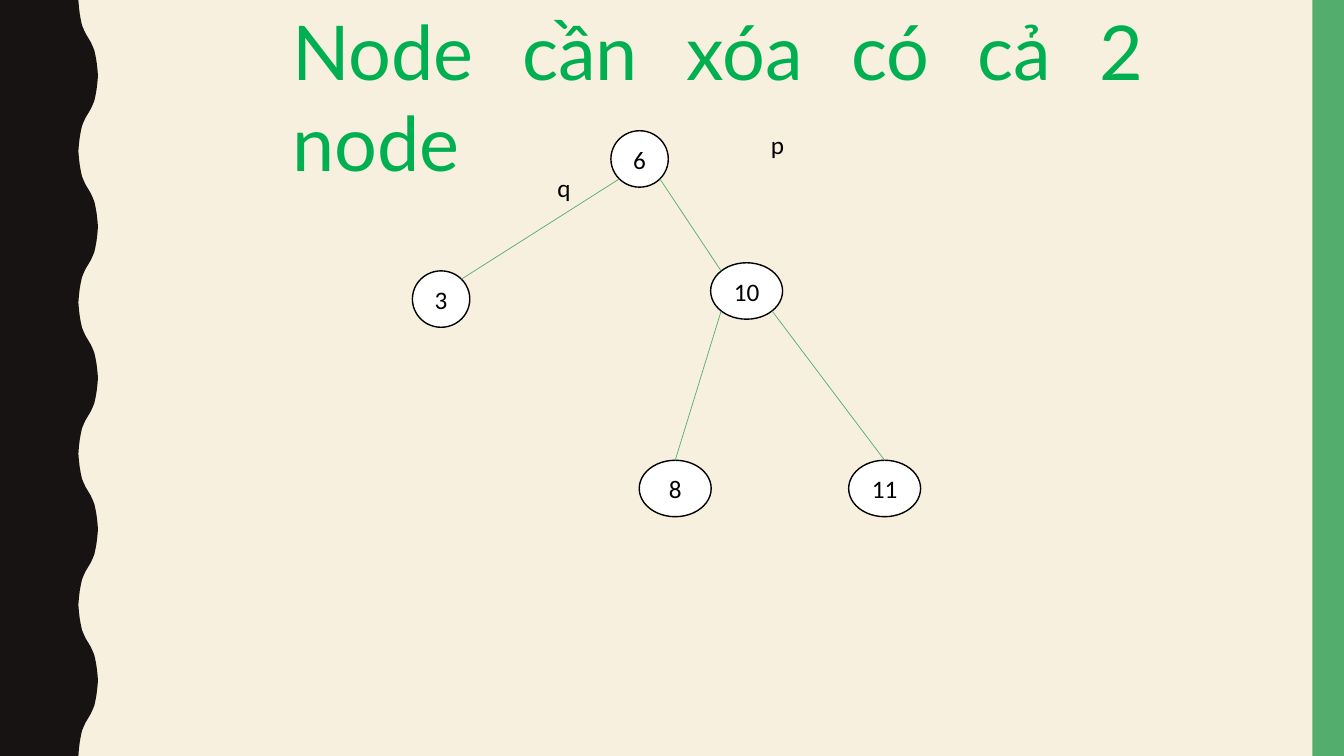
import math

import pptx
import pptx.util
import pptx.dml.color
import pptx.enum.shapes
import pptx.enum.text
import pptx.oxml

Pt = pptx.util.Pt
RGBColor = pptx.dml.color.RGBColor
SHAPE = pptx.enum.shapes.MSO_SHAPE
ALIGN = pptx.enum.text.PP_ALIGN
ANCHOR = pptx.enum.text.MSO_ANCHOR

CREAM = RGBColor(0xF7, 0xF0, 0xDF)
DARK = RGBColor(0x17, 0x13, 0x12)
GREEN = RGBColor(0x53, 0xAE, 0x6E)
TITLE_GREEN = RGBColor(0x00, 0xB0, 0x50)
BLACK = RGBColor(0, 0, 0)
WHITE = RGBColor(0xFF, 0xFF, 0xFF)

TITLE = {"name": "Lato", "size": Pt(54)}
BODY = {"name": "Calibri", "size": Pt(18)}


def write(s, text, font, color, align, wrap):
    tf = s.text_frame
    tf.word_wrap = wrap
    p = tf.paragraphs[0]
    p.alignment = align
    r = p.add_run()
    r.text = text
    for key, value in font.items():
        setattr(r.font, key, value)
    r.font.color.rgb = color


def rim(s, side):
    """Lower or upper diagonal point on the outline of an ellipse."""
    dx, dy = side
    k = math.sqrt(0.5)
    return (round(s.left + s.width / 2 * (1 + dx * k)),
            round(s.top + s.height / 2 * (1 + dy * k)))


prs = pptx.Presentation()
prs.slide_width, prs.slide_height = Pt(960), Pt(540)
slide = prs.slides.add_slide(prs.slide_layouts[6])
slide.background.fill.solid()
slide.background.fill.fore_color.rgb = CREAM
shapes = slide.shapes

# Wavy left band: a quarter wave, mirrored into a half wave, then five periods
quarter = [(56, 0), (56.4, 5), (57, 10), (57.8, 14.4), (58.6, 18), (59.8, 21), (61.2, 24)]
half = quarter + [(63, 27)] + [(126 - x, 54 - y) for x, y in reversed(quarter)]
period = half + [(x, 108 - y) for x, y in reversed(half[1:-1])]
edge = [(x, y + 108 * i) for i in range(5) for x, y in period] + [(56, 540)]
band = shapes.build_freeform(0, 0)
band.add_line_segments([(Pt(x), Pt(y)) for x, y in edge + [(0, 540)]], close=True)

# Right bar
bar = shapes.add_shape(SHAPE.RECTANGLE, Pt(937.5), 0, Pt(22.5), Pt(540))
for s, color in ((band.convert_to_shape(), DARK), (bar, GREEN)):
    s.shadow.inherit = False
    s.fill.solid()
    s.fill.fore_color.rgb = color
    s.line.fill.background()

# Title
s = shapes.add_textbox(Pt(201.6), 0, Pt(622.8), Pt(72.7))
write(s, "Node cần xóa có cả 2 node", TITLE, TITLE_GREEN, ALIGN.JUSTIFY, True)

# Tree nodes
nodes = {}
for label, x, y, w in (("6", 436.4, 93.4, 41), ("3", 294.6, 193.5, 41),
                       ("10", 507.6, 187.7, 51.4), ("8", 456.6, 328.8, 51.4),
                       ("11", 606.2, 328.8, 51.4)):
    s = shapes.add_shape(SHAPE.OVAL, Pt(x), Pt(y), Pt(w), Pt(40.3))
    s.shadow.inherit = False
    s.fill.solid()
    s.fill.fore_color.rgb = WHITE
    s.line.color.rgb = BLACK
    s.line.width = Pt(1)
    s.text_frame.vertical_anchor = ANCHOR.MIDDLE
    write(s, label, BODY, BLACK, ALIGN.CENTER, False)
    nodes[label] = s

# Branches: leave the parent at its lower diagonal, reach the child at its
# upper diagonal or, for the bottom row, at its top
for parent, child, side in (("6", "10", 1), ("10", "11", 1),
                            ("10", "8", -1), ("6", "3", -1)):
    start = rim(nodes[parent], (side, 1))
    end = rim(nodes[child], (-side, -1))
    s = shapes.add_connector(pptx.enum.shapes.MSO_CONNECTOR.STRAIGHT, *start, *end)
    if parent == "10":
        s.end_connect(nodes[child], 0)
    s.line.color.rgb = GREEN
    s.line.width = Pt(0.5)
    s._element.spPr.append(pptx.oxml.parse_xml(
        '<a:effectLst xmlns:a="http://schemas.openxmlformats.org/drawingml/2006/main"/>'))

# Pointer labels
for label, x, y in (("q", 391, 119.5), ("p", 543.6, 88.6)):
    s = shapes.add_textbox(Pt(x), Pt(y), Pt(23.8), Pt(28.8))
    write(s, label, BODY, BLACK, ALIGN.LEFT, False)

prs.save("out.pptx")
